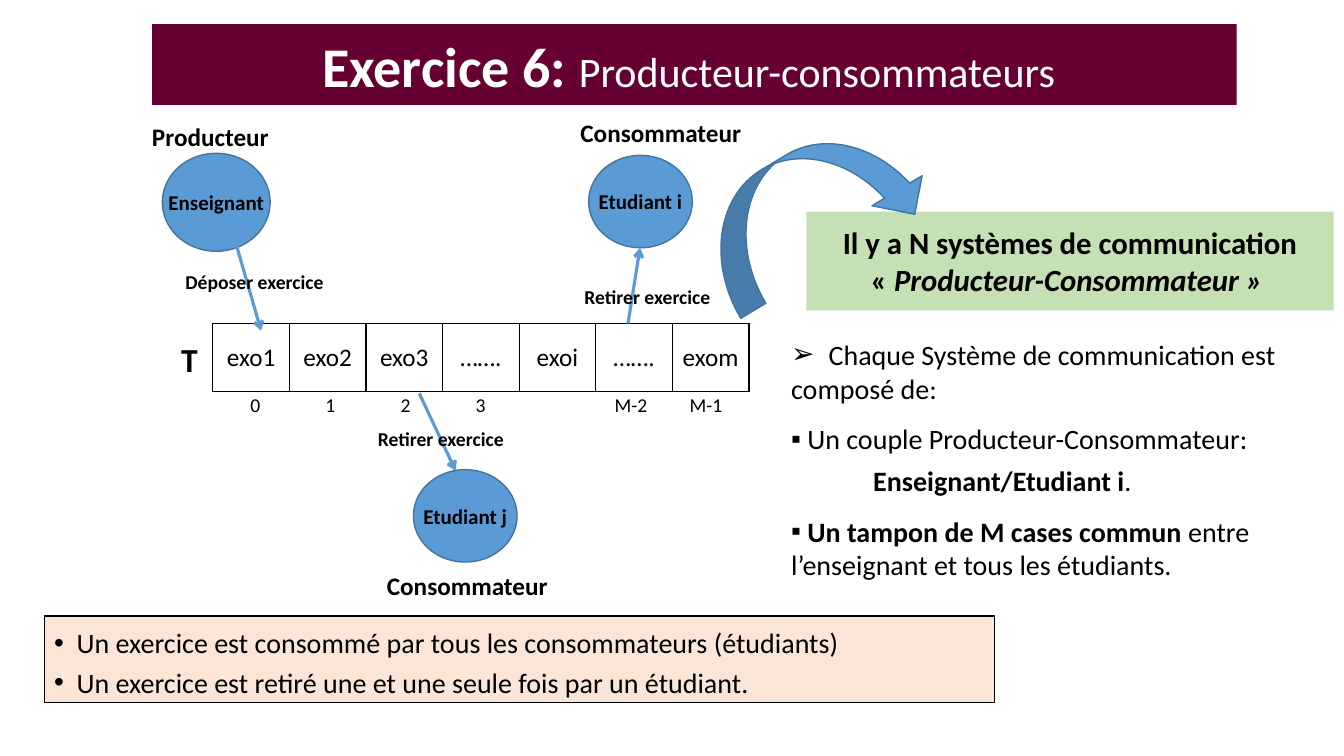
from pptx import Presentation
from pptx import util as u
from pptx.dml.color import RGBColor
from pptx.enum import shapes, text
from pptx.oxml.ns import qn
from lxml import etree

Pt = u.Pt
MS = shapes.MSO_SHAPE
AL = text.PP_ALIGN
AN = text.MSO_ANCHOR
BLACK, WHITE, BLUE, EDGE = '000000', 'FFFFFF', '5B9BD5', '43739E'

title = [dict(al=AL.CENTER, ls=0.9, runs=[
    ('Exercice 6: ', 40, 'b'), ('Producteur-consommateurs', 30, ''), (' ', 36, '')])]
buffer_cells = ['exo1', 'exo2', 'exo3', '…….', 'exoi', '…….', 'exom']
indexes = ['0', '1', '2', '3', '', 'M-2', 'M-1']
actors = [
    ('Enseignant', 116, 109.5, 77, 70),
    ('Etudiant i', 420.5, 111, 74, 66),
    ('Etudiant j', 295.3, 335.5, 74, 66),
]
arrows = [
    (167.8, 171.4, 186.5, 236.2),
    (448.6, 231, 457.2, 177),
    (299.5, 281, 325.4, 336.2),
]
labels = [
    ('Producteur', 18, 101.5, 82.8, 114),
    ('Consommateur', 18, 407.5, 80.6, 130),
    ('Consommateur', 18, 269.3, 404, 130),
    ('Déposer exercice', 14, 125.3, 189.4, 152),
    ('Retirer exercice', 14, 410.4, 200.2, 152),
    ('Retirer exercice', 14, 262.8, 301.7, 152),
    ('T', 24, 122.4, 238.3, 58),
]
systems = [dict(al=AL.CENTER, sb=6, runs=[
    ('Il y a N systèmes de communication «\u00a0', 22, 'b'),
    ('Producteur-Consommateur\u00a0» ', 22, 'bi')])]
details = [
    dict(sa=12, bu='➢', runs=[
        ('\u2002Chaque Système de communication est composé de:', 20, '')]),
    dict(sa=6, bu='▪', runs=[(' Un couple Producteur-Consommateur:', 20, '')]),
    dict(sa=12, left=58.6, runs=[('Enseignant/Etudiant i', 20, 'b'), ('.', 20, '')]),
    dict(sa=12, bu='▪', runs=[
        (' Un tampon de M cases commun ', 20, 'b'),
        ('entre l’enseignant et tous les étudiants.', 20, '')]),
]
rules = [dict(al=AL.JUSTIFY, ls=Pt(28), bu='•', left=16, hang=16, runs=[(line, 20, '')])
         for line in (
             'Un exercice est consommé par tous les consommateurs (étudiants)',
             'Un exercice est retiré une et une seule fois par un étudiant.')]


def rgb(color):
    return RGBColor.from_string(color)


def write(tf, paragraphs, color=BLACK, anchor=AN.TOP, wrap=True, inset=(7.2, 3.6)):
    tf.word_wrap = wrap
    tf.vertical_anchor = anchor
    tf.margin_left = tf.margin_right = Pt(inset[0])
    tf.margin_top = tf.margin_bottom = Pt(inset[1])
    for i, item in enumerate(paragraphs):
        p = tf.add_paragraph() if i else tf.paragraphs[0]
        p.alignment = item.get('al', AL.LEFT)
        p.line_spacing = item.get('ls', 1.0)
        p.space_before = Pt(item.get('sb', 0))
        p.space_after = Pt(item.get('sa', 0))
        pPr = p._p.get_or_add_pPr()
        pPr.set('marL', str(int(Pt(item.get('left', 0)))))
        pPr.set('indent', str(-int(Pt(item.get('hang', 0)))))
        if 'bu' in item:
            etree.SubElement(pPr, qn('a:buFont')).set('typeface', 'Arial')
            etree.SubElement(pPr, qn('a:buChar')).set('char', item['bu'])
        for words, size, style in item['runs']:
            r = p.add_run()
            r.text = words
            r.font.name = 'Calibri'
            r.font.size = Pt(size)
            r.font.bold = 'b' in style
            r.font.italic = 'i' in style
            r.font.color.rgb = rgb(color)


def shape(kind, x, y, w, h, fill, line=None, width=1):
    sp = s.shapes.add_shape(kind, Pt(x), Pt(y), Pt(w), Pt(h))
    sp.shadow.inherit = False
    sp.fill.solid()
    sp.fill.fore_color.rgb = rgb(fill)
    if line:
        sp.line.color.rgb = rgb(line)
        sp.line.width = Pt(width)
    else:
        sp.line.fill.background()
    return sp


def textbox(x, y, w, h, paragraphs):
    sp = s.shapes.add_textbox(Pt(x), Pt(y), Pt(w), Pt(h))
    write(sp.text_frame, paragraphs)


def arrow(x1, y1, x2, y2):
    cx = s.shapes.add_connector(shapes.MSO_CONNECTOR.STRAIGHT, Pt(x1), Pt(y1), Pt(x2), Pt(y2))
    cx.line.color.rgb = rgb(BLUE)
    cx.line.width = Pt(2.25)
    etree.SubElement(cx.line._get_or_add_ln(), qn('a:tailEnd')).set('type', 'arrow')
    etree.SubElement(cx._element.spPr, qn('a:effectLst'))


def border(cell, width):
    tcPr = cell._tc.get_or_add_tcPr()
    for i, side in enumerate(('lnL', 'lnR', 'lnT', 'lnB')):
        ln = etree.Element(qn('a:' + side), w=str(int(Pt(width))))
        if width:
            fill = etree.SubElement(ln, qn('a:solidFill'))
            etree.SubElement(fill, qn('a:srgbClr')).set('val', BLACK)
        else:
            etree.SubElement(ln, qn('a:noFill'))
        tcPr.insert(i, ln)


def row_table(values, x, y, w, h, size, width):
    frame = s.shapes.add_table(1, len(values), Pt(x), Pt(y), Pt(w), Pt(h))
    table = frame.table
    table.first_row = table.horz_banding = False
    for i, value in enumerate(values):
        table.columns[i].width = Pt(w / len(values))
        cell = table.cell(0, i)
        cell.fill.background()
        cell.vertical_anchor = AN.MIDDLE
        cell.margin_left = cell.margin_right = cell.margin_top = cell.margin_bottom = 0
        border(cell, width)
        if value:
            p = cell.text_frame.paragraphs[0]
            p.alignment = AL.CENTER
            r = p.add_run()
            r.text = value
            r.font.name = 'Calibri'
            r.font.size = Pt(size)
            r.font.color.rgb = rgb(BLACK)


prs = Presentation()
prs.slide_width, prs.slide_height = Pt(960), Pt(540)
s = prs.slides.add_slide(prs.slide_layouts[6])

sp = shape(MS.RECTANGLE, 108.7, 17.3, 774.7, 57.6, '660033')
write(sp.text_frame, title, WHITE, AN.BOTTOM)

row_table(buffer_cells, 152, 231.2, 383, 48.3, 18, 1)
row_table(indexes, 155.5, 278, 375.8, 23.8, 14, 0)

for name, x, y, w, h in actors:
    sp = shape(MS.OVAL, x, y, w, h, BLUE, EDGE)
    write(sp.text_frame, [dict(al=AL.CENTER, runs=[(name, 15, 'b')])],
          anchor=AN.MIDDLE, wrap=False, inset=(0, 0))
for ends in arrows:
    arrow(*ends)
for name, size, x, y, w in labels:
    textbox(x, y, w, size * 1.2 + 7.2, [dict(runs=[(name, size, 'b')])])

sp = shape(MS.RECTANGLE, 576, 151.2, 376.6, 70.6, 'C5E0B4')
write(sp.text_frame, systems, inset=(7.2, 8.64))
textbox(558, 237.6, 401.8, 182.9, details)
shape(MS.CURVED_DOWN_ARROW, 496, 107.3, 165.6, 83.5, BLUE, EDGE).rotation = 329.1

sp = shape(MS.RECTANGLE, 31.7, 440, 679, 62, 'FBE5D6', BLACK, 0.75)
write(sp.text_frame, rules, anchor=AN.MIDDLE)

prs.save("out.pptx")
